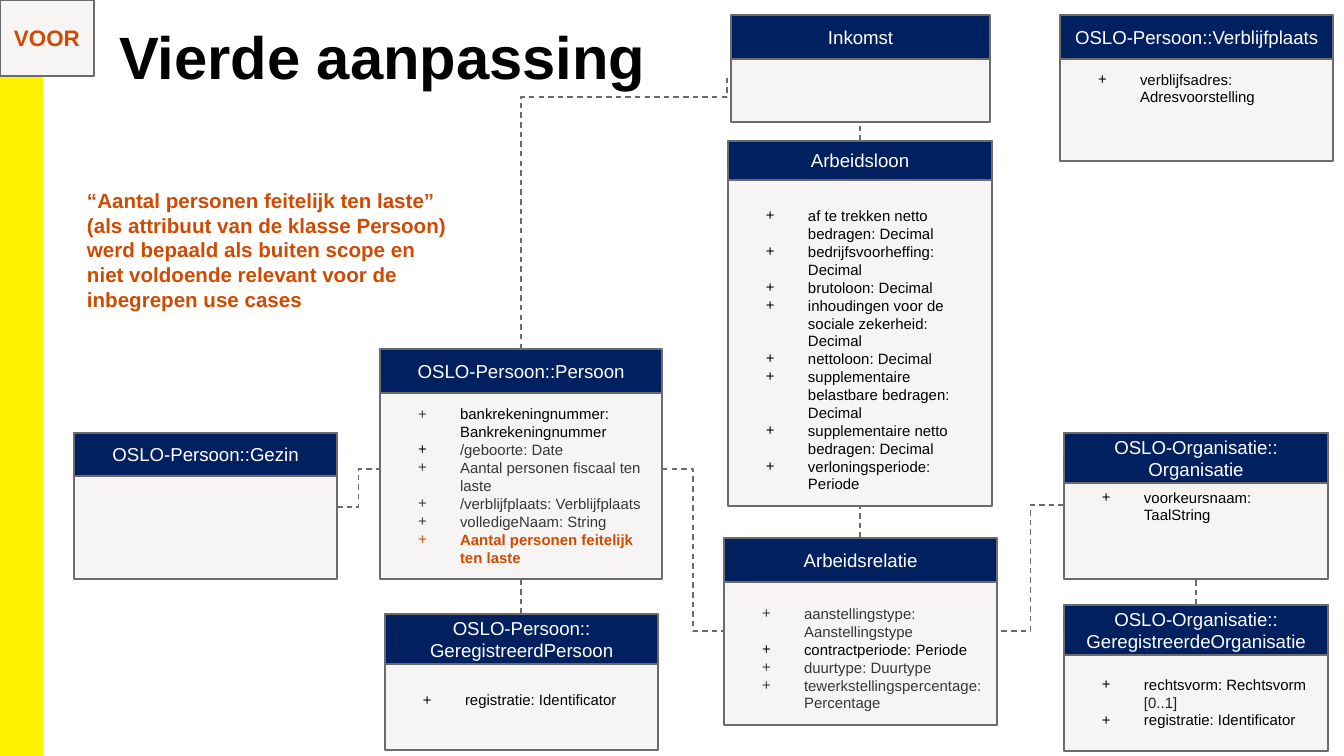
from dataclasses import dataclass

from lxml import etree
from pptx import Presentation
from pptx.dml.color import RGBColor
from pptx.enum.dml import MSO_LINE
from pptx.enum.shapes import MSO_CONNECTOR, MSO_SHAPE
from pptx.enum.text import MSO_ANCHOR, MSO_AUTO_SIZE, PP_ALIGN
from pptx.oxml.ns import qn
from pptx.util import Pt

RECTANGLE = MSO_SHAPE.RECTANGLE
STRAIGHT, ELBOW = MSO_CONNECTOR.STRAIGHT, MSO_CONNECTOR.ELBOW
TOP, MIDDLE, BOTTOM = MSO_ANCHOR.TOP, MSO_ANCHOR.MIDDLE, MSO_ANCHOR.BOTTOM
LEFT, CENTER = PP_ALIGN.LEFT, PP_ALIGN.CENTER
FIT_SHAPE = MSO_AUTO_SIZE.SHAPE_TO_FIT_TEXT
DASH = MSO_LINE.DASH
SLIDE_WIDTH, SLIDE_HEIGHT = 1344, 756
EMU_PER_PX = 9144000 / SLIDE_WIDTH


@dataclass(frozen=True)
class Theme:
    font: str = "Arial"
    black: str = "000000"
    gray: str = "373636"
    range_gray: str = "202124"
    white: str = "FFFFFF"
    accent: str = "D04A02"
    yellow: str = "FFF200"
    navy: str = "002060"
    panel: str = "F6F5F3"
    border: str = "6B6B6B"
    title_size: int = 32
    badge_size: int = 12
    note_size: int = 11
    header_size: int = 10
    item_size: int = 8
    line_width: float = 0.75


THEME = Theme()


@dataclass(frozen=True)
class Attribute:
    text: str
    color: str = THEME.black
    bullet: str = THEME.black
    bold: bool = False
    suffix: str = ""


def px(value):
    return round(value * EMU_PER_PX)


def rgb(value):
    return RGBColor.from_string(value)


class Diagram:
    def __init__(self, slide, theme):
        self.slide = slide
        self.theme = theme

    def box(self, left, top, width, height, fill, border=None):
        shape = self.slide.shapes.add_shape(
            RECTANGLE, px(left), px(top), px(width), px(height))
        shape.shadow.inherit = False
        shape.fill.solid()
        shape.fill.fore_color.rgb = rgb(fill)
        shape.line.color.rgb = rgb(border or self.theme.border)
        shape.line.width = Pt(self.theme.line_width)
        return shape

    def frame(self, shape, anchor=MIDDLE, insets=(13, 13, 13, 13)):
        frame = shape.text_frame
        frame.word_wrap = True
        frame.vertical_anchor = anchor
        (frame.margin_left, frame.margin_top,
         frame.margin_right, frame.margin_bottom) = map(px, insets)
        return frame

    def paragraph(self, frame, index, align=LEFT):
        paragraph = frame.add_paragraph() if index else frame.paragraphs[0]
        paragraph.alignment = align
        return paragraph

    def run(self, paragraph, text, size, color, bold=False):
        run = paragraph.add_run()
        run.text = text
        run.font.name = self.theme.font
        run.font.size = Pt(size)
        run.font.bold = bold
        run.font.color.rgb = rgb(color)

    def label(self, shape, text, size, color, bold=False):
        frame = self.frame(shape)
        for index, line in enumerate(text.split("\n")):
            self.run(self.paragraph(frame, index, CENTER), line, size, color, bold)

    def text(self, left, top, width, height, text, size, color, insets):
        shape = self.slide.shapes.add_textbox(
            px(left), px(top), px(width), px(height))
        frame = self.frame(shape, TOP, insets)
        self.run(self.paragraph(frame, 0), text, size, color, True)
        return frame

    def bullet(self, paragraph, color):
        properties = paragraph._p.get_or_add_pPr()
        properties.set("marL", str(px(67)))
        properties.set("indent", str(px(-42)))
        bullet_color = etree.SubElement(properties, qn("a:buClr"))
        etree.SubElement(bullet_color, qn("a:srgbClr")).set("val", color)
        etree.SubElement(properties, qn("a:buFont")).set("typeface", self.theme.font)
        etree.SubElement(properties, qn("a:buChar")).set("char", "+")

    def card(self, left, top, width, height, header_height, title,
             attributes=(), anchor=MIDDLE, body_offset=0, pad_top=13, pad_bottom=13):
        theme = self.theme
        body = self.box(left, top + body_offset, width, height - body_offset, theme.panel)
        frame = self.frame(body, anchor, (13, pad_top, 13, pad_bottom))
        for index, attribute in enumerate(attributes):
            paragraph = self.paragraph(frame, index)
            self.bullet(paragraph, attribute.bullet)
            self.run(paragraph, attribute.text, theme.item_size,
                     attribute.color, attribute.bold)
            if attribute.suffix:
                self.run(paragraph, attribute.suffix, theme.item_size, theme.range_gray)
        header = self.box(left, top, width, header_height, theme.navy)
        self.label(header, title, theme.header_size, theme.white)

    def connector(self, kind, start, end):
        connector = self.slide.shapes.add_connector(kind, *map(px, start + end))
        connector.line.color.rgb = rgb(self.theme.border)
        connector.line.width = Pt(self.theme.line_width)
        connector.line.dash_style = DASH
        etree.SubElement(connector._element.spPr, qn("a:effectLst"))
        return connector

    def rising_elbow(self, start, end, bend):
        center_x, center_y = (start[0] + end[0]) / 2, (start[1] + end[1]) / 2
        half_run, half_rise = (end[0] - start[0]) / 2, (start[1] - end[1]) / 2
        connector = self.connector(
            ELBOW,
            (center_x - half_rise, center_y - half_run),
            (center_x + half_rise, center_y + half_run))
        properties = connector._element.spPr
        properties.find(qn("a:xfrm")).set("rot", str(270 * 60000))
        guide = etree.SubElement(
            properties.find(qn("a:prstGeom")).find(qn("a:avLst")), qn("a:gd"))
        guide.set("name", "adj1")
        guide.set("fmla", f"val {round(bend * 100000)}")


def main():
    theme = THEME
    presentation = Presentation()
    presentation.slide_width = px(SLIDE_WIDTH)
    presentation.slide_height = px(SLIDE_HEIGHT)
    slide = presentation.slides.add_slide(presentation.slide_layouts[6])
    diagram = Diagram(slide, theme)

    diagram.box(0, 0, 42, SLIDE_HEIGHT, theme.yellow, theme.yellow)
    diagram.card(74, 433, 263, 146, 43, "OSLO-Persoon::Gezin")
    diagram.card(380, 349, 282, 230, 44, "OSLO-Persoon::Persoon", [
        Attribute("bankrekeningnummer: Bankrekeningnummer", bullet=theme.gray),
        Attribute("/geboorte: Date", theme.gray),
        Attribute("Aantal personen fiscaal ten laste", theme.gray, theme.gray),
        Attribute("/verblijfplaats: Verblijfplaats", theme.gray, theme.gray),
        Attribute("volledigeNaam: String", theme.gray, theme.gray),
        Attribute("Aantal personen feitelijk ten laste", theme.accent, theme.accent, True),
    ], BOTTOM, body_offset=11)
    diagram.card(728, 141, 264, 365, 39, "Arbeidsloon", [
        Attribute("af te trekken netto bedragen: Decimal"),
        Attribute("bedrijfsvoorheffing: Decimal"),
        Attribute("brutoloon: Decimal"),
        Attribute("inhoudingen voor de sociale zekerheid: Decimal"),
        Attribute("nettoloon: Decimal"),
        Attribute("supplementaire belastbare bedragen: Decimal"),
        Attribute("supplementaire netto bedragen: Decimal"),
        Attribute("verloningsperiode: Periode"),
    ], BOTTOM)
    diagram.card(1064, 433, 264, 146, 50, "OSLO-Organisatie::\nOrganisatie",
                 [Attribute("voorkeursnaam: TaalString")])
    diagram.card(731, 15, 259, 107, 44, "Inkomst", body_offset=36)
    diagram.card(385, 614, 273, 136, 50, "OSLO-Persoon::\nGeregistreerdPersoon",
                 [Attribute("registratie: Identificator")], pad_top=49)
    diagram.card(1064, 605, 264, 146, 50, "OSLO-Organisatie::\nGeregistreerdeOrganisatie", [
        Attribute("rechtsvorm: Rechtsvorm ", suffix="[0..1]"),
        Attribute("registratie: Identificator"),
    ], BOTTOM, pad_bottom=22)
    diagram.card(1060, 15, 273, 146, 44, "OSLO-Persoon::Verblijfplaats",
                 [Attribute("verblijfsadres: Adresvoorstelling")])
    diagram.card(724, 538, 273, 187, 44, "Arbeidsrelatie", [
        Attribute("aanstellingstype: Aanstellingstype", theme.gray, theme.gray),
        Attribute("contractperiode: Periode"),
        Attribute("duurtype: Duurtype", theme.gray, theme.gray),
        Attribute("tewerkstellingspercentage: Percentage", theme.gray, theme.gray),
    ], BOTTOM)

    for start, end in [((337, 507), (380, 469)), ((662, 469), (724, 631)),
                       ((1064, 505), (997, 631))]:
        diagram.connector(ELBOW, start, end)
    for x, bottom, top in [(860, 538, 506), (860, 141, 122),
                           (521, 614, 579), (1196, 605, 579)]:
        diagram.connector(STRAIGHT, (x, bottom), (x, top))
    diagram.rising_elbow((521, 349), (727, 78), 0.93)

    diagram.text(109, 15, 602, 91, "Vierde aanpassing",
                 theme.title_size, theme.black, (10, 5, 10, 5))
    note = diagram.text(
        74, 175, 392, 152,
        "“Aantal personen feitelijk ten laste” (als attribuut van de klasse Persoon) "
        "werd bepaald als buiten scope en niet voldoende relevant voor de "
        "inbegrepen use cases", theme.note_size, theme.accent, (13, 13, 13, 13))
    note.auto_size = FIT_SHAPE
    badge = diagram.box(0, 0, 94, 76, theme.panel)
    diagram.label(badge, "VOOR", theme.badge_size, theme.accent, True)
    presentation.save("out.pptx")


if __name__ == "__main__":
    main()
